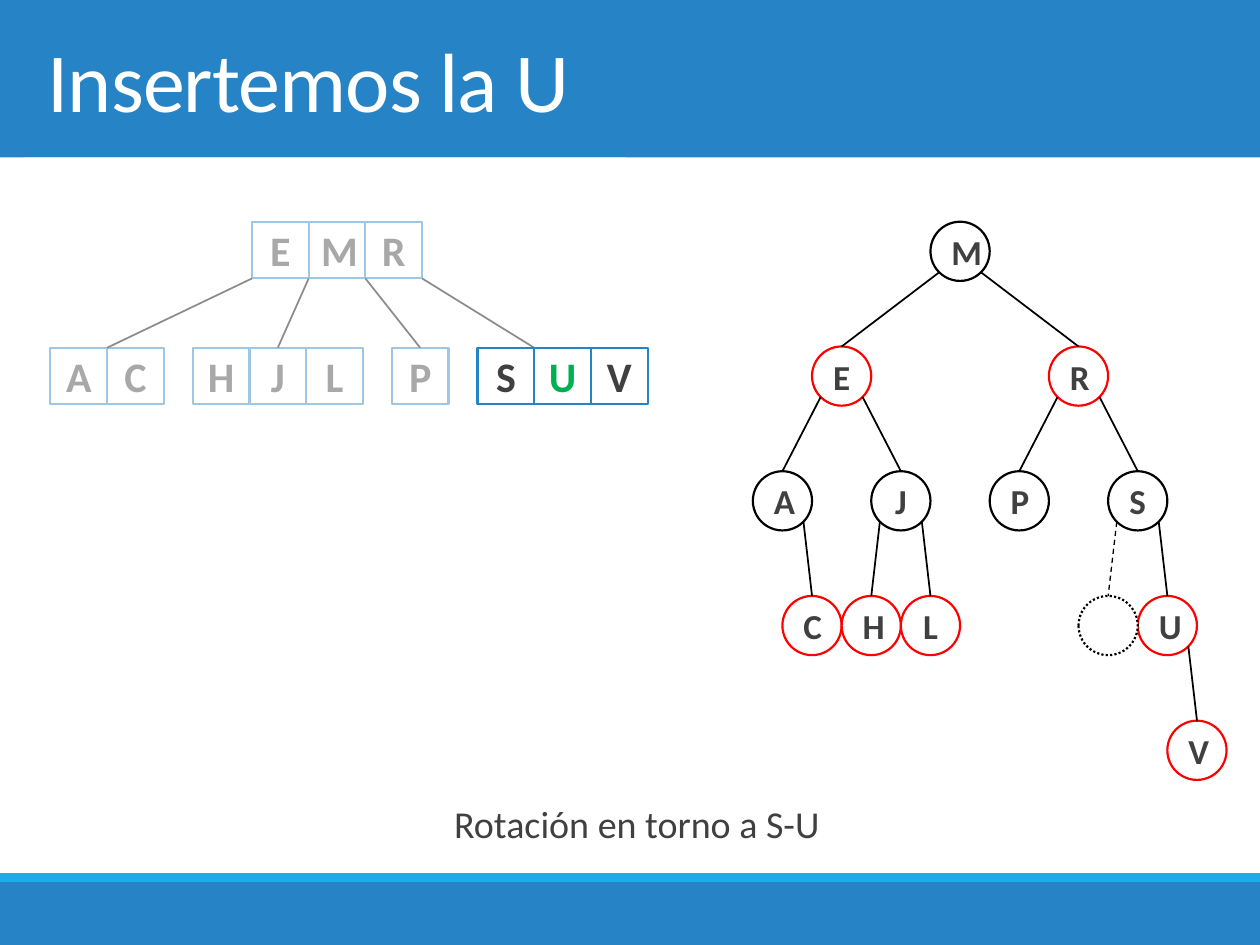
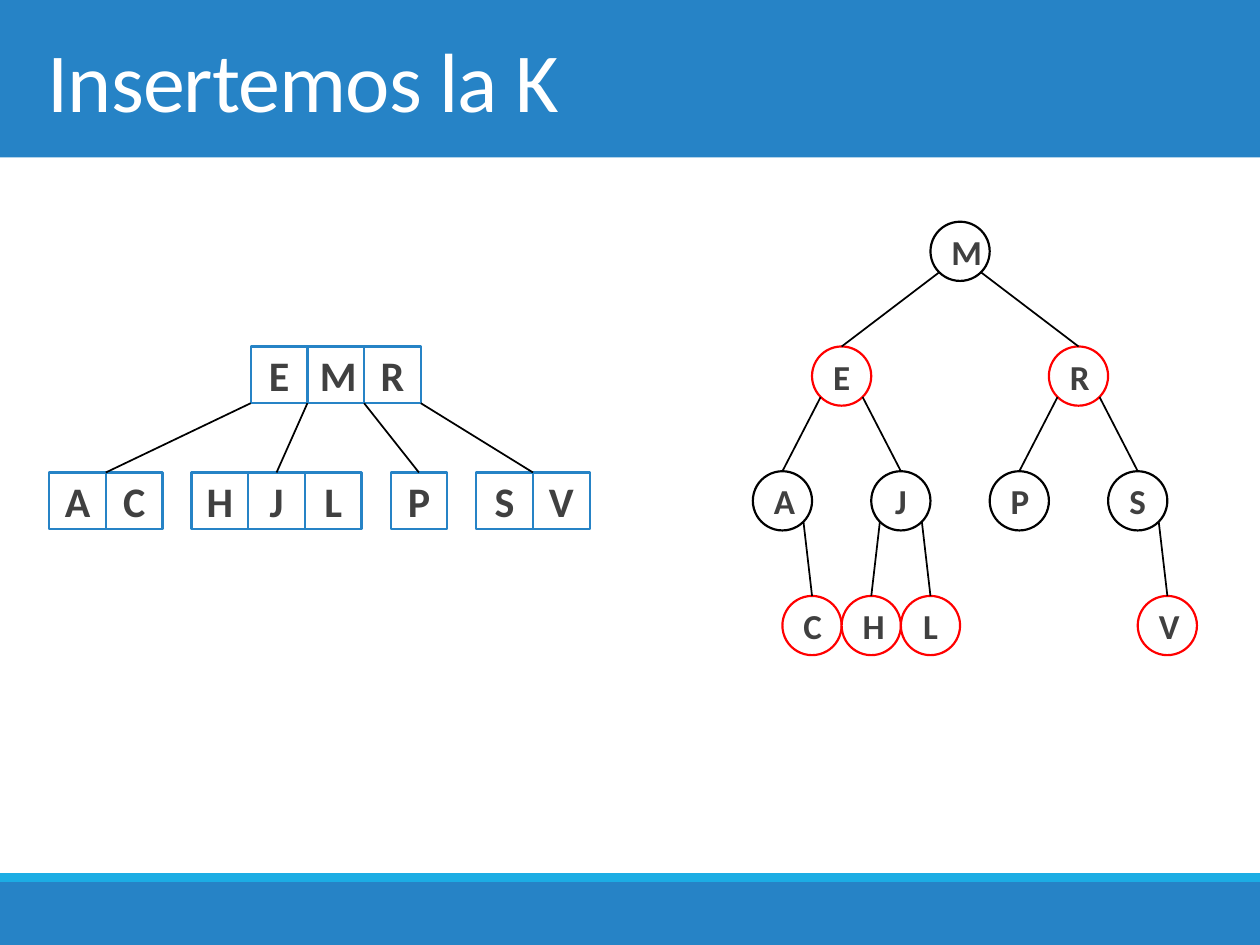
import pptx
import pptx.dml.color
import pptx.enum.dml
import pptx.enum.shapes
import pptx.enum.text
import pptx.oxml
import pptx.oxml.ns
import pptx.util

Inches = pptx.util.Inches
Pt = pptx.util.Pt
SHAPE = pptx.enum.shapes.MSO_SHAPE
DASH = pptx.enum.dml.MSO_LINE
CENTER = pptx.enum.text.PP_ALIGN.CENTER
MIDDLE = pptx.enum.text.MSO_ANCHOR.MIDDLE

BLUE, SKY, WHITE, BLACK = "2683C6", "1CADE4", "FFFFFF", "000000"
RED, GREEN, GRAY = "FF0000", "00B050", "404040"
TITLE_FONT = {"name": "Calibri", "size": Pt(48)}
CAPTION_FONT = {"name": "Calibri", "size": Pt(21.7)}
CELL_FONT = {"name": "Calibri", "size": Pt(24), "bold": True}
NODE_FONT = {"name": "Calibri", "size": Pt(20), "bold": True}
OUTLINE = {"width": Pt(1.25)}
DOTTED = {"width": Pt(1.25), "dash_style": DASH.ROUND_DOT}
BRANCH = {"width": Pt(1)}
DASHED = {"width": Pt(0.75), "dash_style": DASH.DASH}

CELL, LEAF_GAP, LEVEL = 0.45, 0.23, 1.0
ROOT_SHIFT = 1.6
NODE, NODE_LEVEL = 0.47, 0.99
TREE_LEFT, TREE_TOP = 6.21, 1.76

SHARED_NODES = {
    "M": (6, 0, BLACK), "E": (2, 1, RED), "R": (10, 1, RED),
    "A": (0, 2, BLACK), "J": (4, 2, BLACK), "P": (8, 2, BLACK), "S": (12, 2, BLACK),
    "C": (1, 3, RED), "H": (3, 3, RED), "L": (5, 3, RED),
}
SHARED_EDGES = ["ME", "MR", "EA", "EJ", "RP", "RS", "AC", "JH", "JL"]


def color(hex_value):
    return pptx.dml.color.RGBColor.from_string(hex_value)


def apply_format(target, values, hex_value):
    for key, value in values.items():
        setattr(target, key, value)
    target_color = target.color
    target_color.rgb = color(hex_value)


def add_block(slide, preset, left, top, width, height, fill, line=None, line_format=OUTLINE):
    block = slide.shapes.add_shape(
        preset, Inches(left), Inches(top), Inches(width), Inches(height))
    block.shadow.inherit = False
    block.fill.solid()
    block.fill.fore_color.rgb = color(fill)
    if line:
        apply_format(block.line, line_format, line)
    else:
        block.line.fill.background()
    return block


def write(shape, text, font, hex_value, align=None, anchor=None):
    frame = shape.text_frame
    frame.word_wrap = True
    frame.vertical_anchor = anchor
    paragraph = frame.paragraphs[0]
    paragraph.alignment = align
    run = paragraph.add_run()
    run.text = text
    apply_format(run.font, font, hex_value)
    return paragraph


def add_textbox(slide, top, height):
    return slide.shapes.add_textbox(Inches(0.28), Inches(top), Inches(9.45), Inches(height))


def add_branch(slide, start, end, line_format=BRANCH, child=None):
    branch = slide.shapes.add_connector(
        pptx.enum.shapes.MSO_CONNECTOR.STRAIGHT, *(Inches(v) for v in (*start, *end)))
    if child is not None:
        branch.end_connect(child, 0)
    apply_format(branch.line, line_format, BLACK)
    pptx.oxml.ns.qn("a:effectLst")
    branch._element.spPr.append(pptx.oxml.parse_xml(
        f'<a:effectLst {pptx.oxml.ns.nsdecls("a")}/>'))


def add_titled_slide(deck, title):
    slide = deck.slides.add_slide(deck.slide_layouts[6])
    for top, height, fill in [(0, 1.25, BLUE), (7, 0.5, BLUE), (6.93, 0.07, SKY)]:
        add_block(slide, SHAPE.RECTANGLE, 0, top, 10, height, fill)
    heading = write(add_textbox(slide, 0, 1.25), title, TITLE_FONT, WHITE, anchor=MIDDLE)
    heading.runs[0].font._element.set("spc", "-50")
    return slide


def add_caption(slide, text):
    caption = write(add_textbox(slide, 6.2, 0.57), text, CAPTION_FONT, GRAY, CENTER)
    caption.line_spacing = 1.3
    caption.space_before = Pt(12)
    caption.space_after = Pt(2)
    caption._p.get_or_add_pPr().set("marL", str(Inches(0.1)))


def add_veil(slide):
    veil = add_block(slide, SHAPE.RECTANGLE, 0.19, 1.25, 4.78, 4.9, WHITE)
    tint = veil._element.spPr.find(".//" + pptx.oxml.ns.qn("a:srgbClr"))
    tint.append(pptx.oxml.parse_xml(
        f'<a:alpha {pptx.oxml.ns.nsdecls("a")} val="55000"/>'))


def add_cells(slide, left, top, letters, inserted=""):
    cells = []
    for index, letter in enumerate(letters):
        cell = add_block(slide, SHAPE.RECTANGLE, left + index * CELL, top, CELL, CELL, WHITE, BLUE)
        write(cell, letter, CELL_FONT, GREEN if letter == inserted else GRAY, CENTER, MIDDLE)
        cells.append(cell)
    return cells


def add_btree(slide, left, top, leaves, inserted=""):
    root_left, leaf_top = left + ROOT_SHIFT, top + LEVEL
    add_cells(slide, root_left, top, "EMR")
    leaf_left = left
    for index, leaf in enumerate(leaves):
        settled = len([letter for letter in leaf if letter != inserted])
        start = (root_left + index * CELL, top + CELL)
        end = (leaf_left + settled * CELL / 2, leaf_top)
        if inserted and inserted in leaf:
            add_branch(slide, start, end)
            add_veil(slide)
            add_cells(slide, leaf_left, leaf_top, leaf, inserted)
        else:
            cells = add_cells(slide, leaf_left, leaf_top, leaf)
            middle_cell = cells[settled // 2] if settled % 2 else None
            add_branch(slide, start, end, child=middle_cell)
        leaf_left += len(leaf) * CELL + LEAF_GAP


def node_center(column, row):
    return TREE_LEFT + column * NODE / 2, TREE_TOP + NODE / 2 + row * NODE_LEVEL


def add_node(slide, column, row, line, letter="", line_format=OUTLINE):
    x, y = node_center(column, row)
    node = add_block(slide, SHAPE.OVAL, x - NODE / 2, y - NODE / 2, NODE, NODE,
                     WHITE, line, line_format)
    if letter:
        write(node, letter, NODE_FONT, GRAY, CENTER, MIDDLE)
    return node


def add_edge(slide, parent, child, child_node, line_format=BRANCH):
    x, y = node_center(*parent)
    child_x, child_y = node_center(*child)
    reach = NODE / 2 * 0.71
    side = reach if child_x > x else -reach
    add_branch(slide, (x + side, y + reach), (child_x, child_y - NODE / 2),
               line_format, child_node)


def add_red_black_tree(slide, extra_nodes, extra_edges):
    places = {**SHARED_NODES, **extra_nodes}
    nodes = {letter: add_node(slide, *place, letter) for letter, place in places.items()}
    for parent, child in SHARED_EDGES + extra_edges:
        add_edge(slide, places[parent][:2], places[child][:2], nodes[child])


def add_empty_child(slide, parent, place):
    empty = add_node(slide, *place, BLACK, line_format=DOTTED)
    add_edge(slide, parent, place, empty, DASHED)


def main():
    deck = pptx.Presentation()
    deck.slide_width, deck.slide_height = Inches(10), Inches(7.5)

    insert_u = add_titled_slide(deck, "Insertemos la U")
    add_btree(insert_u, 0.4, 1.76, ["AC", "HJL", "P", "SUV"], inserted="U")
    add_red_black_tree(insert_u, {"U": (13, 3, RED), "V": (14, 4, RED)}, ["SU", "UV"])
    add_empty_child(insert_u, SHARED_NODES["S"][:2], (11, 3))
    add_caption(insert_u, "Rotación en torno a S-U")

    insert_k = add_titled_slide(deck, "Insertemos la K")
    add_btree(insert_k, 0.39, 2.75, ["AC", "HJL", "P", "SV"])
    add_red_black_tree(insert_k, {"V": (13, 3, RED)}, ["SV"])

    deck.save("out.pptx")


if __name__ == "__main__":
    main()
